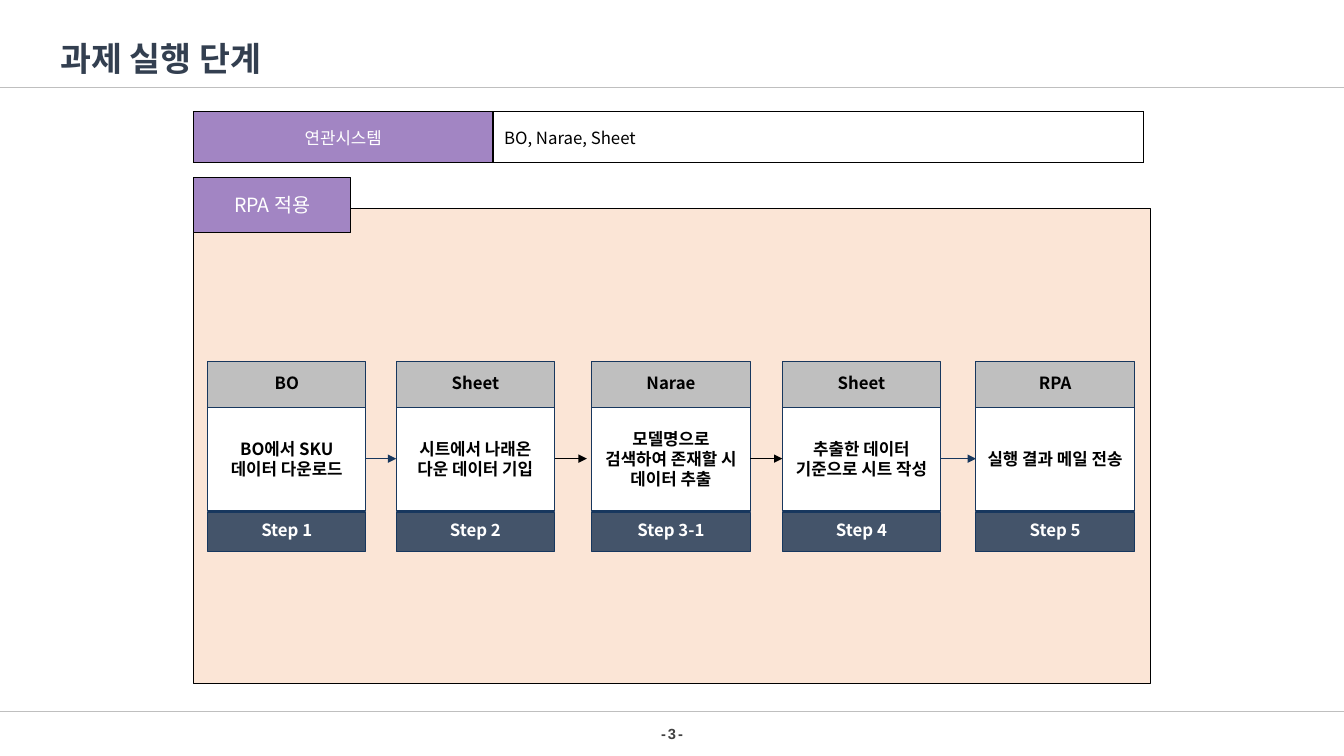
from dataclasses import dataclass

from lxml import etree
from pptx import Presentation
from pptx.dml.color import RGBColor
from pptx.enum import shapes, text
from pptx.oxml import ns
from pptx.util import Inches, Pt


@dataclass(frozen=True)
class Theme:
    font: str = "Noto Sans CJK KR"
    number_font: str = "Arial"
    title: str = "333F50"
    number: str = "404040"
    rule: str = "BFBFBF"
    purple: str = "A285C3"
    peach: str = "FBE5D6"
    grey: str = "BFBFBF"
    slate: str = "44546A"
    navy: str = "17375E"
    white: str = "FFFFFF"
    black: str = "000000"
    title_size: float = 24
    label_size: float = 14
    body_size: float = 12
    number_size: float = 10.5


class SlideBuilder:
    def __init__(self, slide, theme):
        self.slide = slide
        self.theme = theme

    def put_text(self, tf, content, size, color, bold=False, align=text.PP_ALIGN.CENTER, font=None):
        tf.text = content
        p = tf.paragraphs[0]
        p.alignment = align
        r = p.runs[0]
        r.font.name = font or self.theme.font
        r.font.size = Pt(size)
        r.font.bold = bold
        r.font.color.rgb = RGBColor.from_string(color)
        ea = etree.SubElement(r._r.get_or_add_rPr(), ns.qn("a:ea"))
        ea.set("typeface", r.font.name)
        return p

    def label(self, box, content, size, color, **style):
        sp = self.slide.shapes.add_textbox(*map(Inches, box))
        tf = sp.text_frame
        tf.word_wrap = False
        tf.margin_left = tf.margin_right = tf.margin_top = tf.margin_bottom = 0
        return tf, self.put_text(tf, content, size, color, **style)

    def rect(self, box, fill, line, width, parent=None):
        sp = (parent or self.slide).shapes.add_shape(shapes.MSO_SHAPE.RECTANGLE, *map(Inches, box))
        sp.shadow.inherit = False
        sp.fill.solid()
        sp.fill.fore_color.rgb = RGBColor.from_string(fill)
        sp.line.color.rgb = RGBColor.from_string(line)
        sp.line.width = Pt(width)
        sp.text_frame.word_wrap = True
        sp.text_frame.vertical_anchor = text.MSO_ANCHOR.MIDDLE
        return sp

    def line(self, start, end, color, kind=shapes.MSO_CONNECTOR.STRAIGHT):
        cxn = self.slide.shapes.add_connector(kind, *map(Inches, (*start, *end)))
        cxn.line.color.rgb = RGBColor.from_string(color)
        cxn.line.width = Pt(0.5)
        etree.SubElement(cxn._element.spPr, ns.qn("a:effectLst"))
        return cxn

    def arrow(self, before, after, color, kind, stop=None):
        y = (before.top + before.height / 2) / Inches(1)
        right = (before.left + before.width) / Inches(1)
        cxn = self.line((right, y), (stop or after.left / Inches(1), y), color, kind)
        cxn.begin_connect(before, 3)
        if stop is None:
            cxn.end_connect(after, 1)
        ln = cxn._element.spPr.find(ns.qn("a:ln"))
        etree.SubElement(ln, ns.qn("a:tailEnd"), type="triangle")

    def table(self, box, widths, cells):
        table = self.slide.shapes.add_table(1, len(widths), *map(Inches, box)).table
        table.first_row = table.horz_banding = False
        table.rows[0].height = Inches(box[3])
        for i, (width, (content, fill, color, align)) in enumerate(zip(widths, cells)):
            table.columns[i].width = Inches(width)
            cell = table.cell(0, i)
            cell.vertical_anchor = text.MSO_ANCHOR.MIDDLE
            cell.margin_left = cell.margin_right = Inches(0.11)
            cell.margin_top = cell.margin_bottom = Inches(0.05)
            self.put_text(cell.text_frame, content, self.theme.body_size, color, align=align)
            self.borders(cell)
            cell.fill.solid()
            cell.fill.fore_color.rgb = RGBColor.from_string(fill)

    def borders(self, cell):
        for side in ("lnL", "lnR", "lnT", "lnB"):
            ln = etree.SubElement(cell._tc.get_or_add_tcPr(), ns.qn(f"a:{side}"), w=str(Pt(1)))
            fill = etree.SubElement(ln, ns.qn("a:solidFill"))
            etree.SubElement(fill, ns.qn("a:srgbClr"), val=self.theme.black)

    def step(self, left, system, task, number):
        t = self.theme
        group = self.slide.shapes.add_group_shape()
        parts = (
            (4.03, 1.04, t.white, task, t.black, None),
            (3.59, 0.45, t.grey, system, t.black, 0.8),
            (5.08, 0.39, t.slate, number, t.white, 0.8),
        )
        made = []
        for top, height, fill, content, color, spacing in parts:
            sp = self.rect((left, top, 1.57, height), fill, t.navy, 0.75, group)
            p = self.put_text(sp.text_frame, content, t.body_size, color, bold=True)
            p.line_spacing = spacing
            made.append(sp)
        return made[0]


def main():
    prs = Presentation()
    prs.slide_width, prs.slide_height = Inches(13.33), Inches(7.5)
    t = Theme()
    s = SlideBuilder(prs.slides.add_slide(prs.slide_layouts[6]), t)

    for y in (0.87, 7.06):
        s.line((0, y), (13.33, y), t.rule)

    tf, p = s.label((6.39, 7.14, 0.55, 0.28), "- 3 -", t.number_size, t.number,
                    bold=True, font=t.number_font)
    tf.vertical_anchor = text.MSO_ANCHOR.MIDDLE
    p.runs[0]._r.get_or_add_rPr().set("spc", "-70")

    s.rect((1.92, 2.07, 9.49, 4.71), t.peach, t.black, 1)
    s.table((1.92, 1.11, 9.42, 0.5), (2.97, 6.45), (
        ("연관시스템", t.purple, t.white, text.PP_ALIGN.CENTER),
        ("BO, Narae, Sheet", t.white, t.black, text.PP_ALIGN.LEFT),
    ))
    tab = s.rect((1.92, 1.76, 1.56, 0.55), t.purple, t.black, 1)
    s.put_text(tab.text_frame, "RPA 적용", t.label_size, t.white)

    tf, p = s.label((0.6, 0.38, 3.12, 0.46), "과제 실행 단계", t.title_size, t.title,
                    bold=True, align=text.PP_ALIGN.JUSTIFY)
    p.space_after = Pt(8.8)

    steps = (
        (2.06, "BO", "BO에서 SKU 데이터 다운로드", "Step 1"),
        (3.93, "Sheet", "시트에서 나래온 다운 데이터 기입", "Step 2"),
        (5.87, "Narae", "모델명으로 검색하여 존재할 시 데이터 추출", "Step 3-1"),
        (7.76, "Sheet", "추출한 데이터 기준으로 시트 작성", "Step 4"),
        (9.68, "RPA", "실행 결과 메일 전송", "Step 5"),
    )
    tasks = [s.step(*step) for step in steps]

    straight, elbow = shapes.MSO_CONNECTOR.STRAIGHT, shapes.MSO_CONNECTOR.ELBOW
    arrows = (
        (t.navy, straight, None),
        (t.black, elbow, 5.82),
        (t.black, elbow, None),
        (t.navy, straight, None),
    )
    for before, after, style in zip(tasks, tasks[1:], arrows):
        s.arrow(before, after, *style)

    prs.save("out.pptx")


if __name__ == "__main__":
    main()
